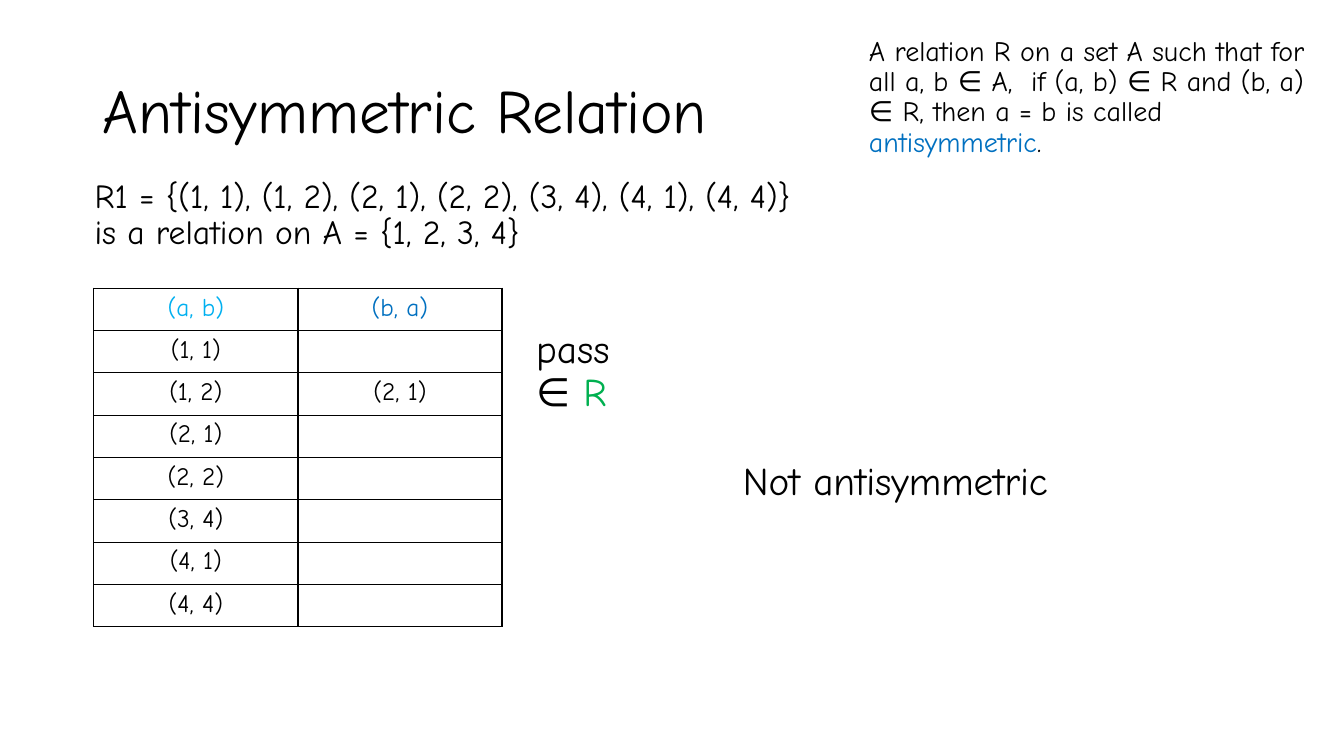
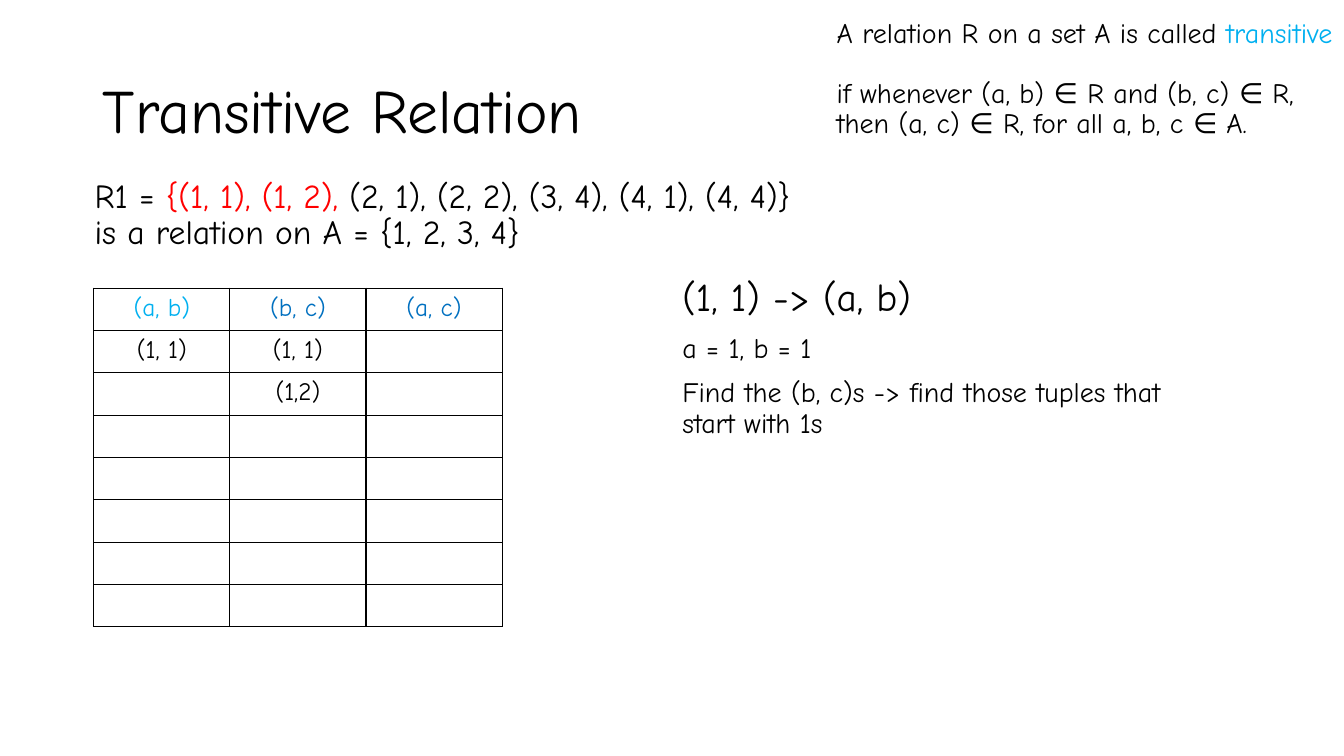
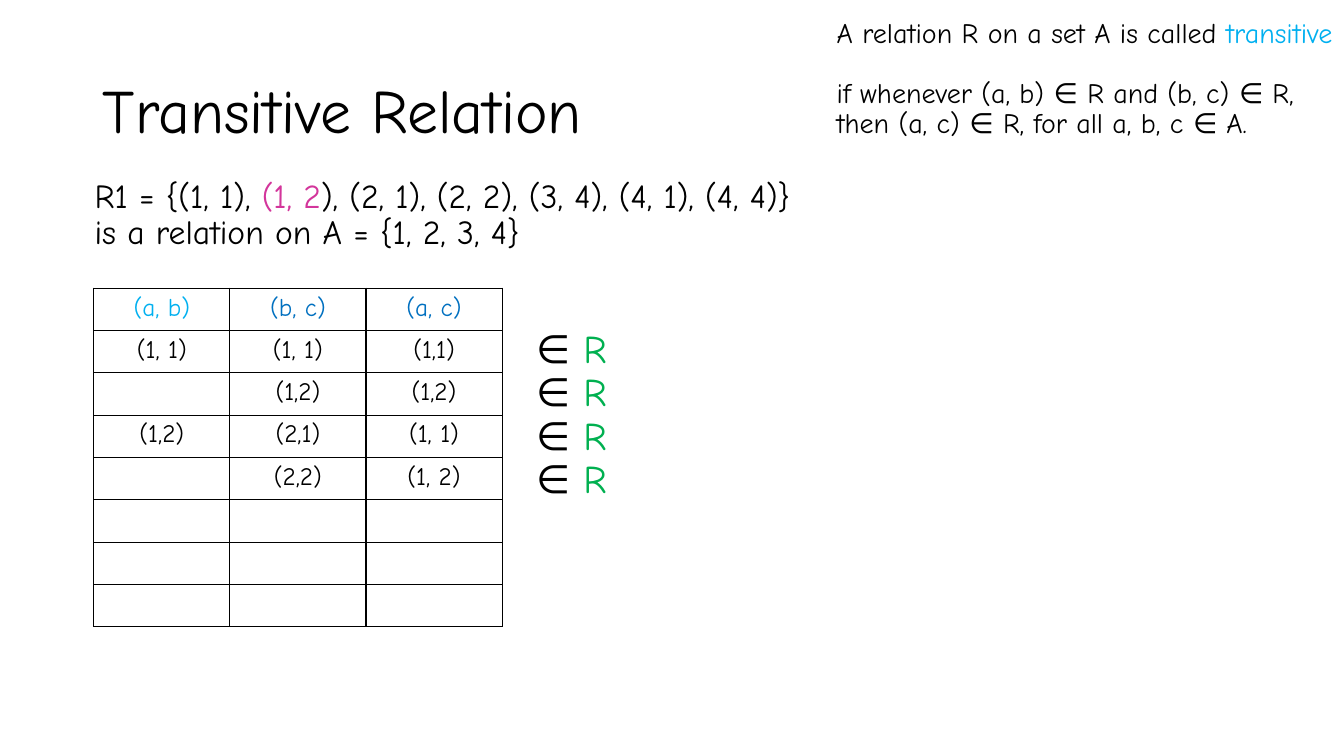
from lxml import etree
from pptx import Presentation
from pptx.dml.color import RGBColor
from pptx.enum.text import MSO_ANCHOR, MSO_AUTO_SIZE, PP_ALIGN
from pptx.oxml.ns import qn
from pptx.util import Inches, Pt

LEFT, CENTER = PP_ALIGN.LEFT, PP_ALIGN.CENTER
MIDDLE, NO_AUTOFIT = MSO_ANCHOR.MIDDLE, MSO_AUTO_SIZE.NONE

# Shared style
FONT = "Comic Neue"
BLACK, SKY, BLUE = "000000", "00B0F0", "0070C0"
GREEN, RED, PINK = "00B050", "FF0000", "D3359B"
TITLE_SIZE, MARK_SIZE, RELATION_SIZE, NOTE_SIZE, CELL_SIZE = 44, 28, 24, 20, 18

# Shared grid, in inches
TABLE_LEFT, TABLE_TOP, TABLE_WIDTH = 0.93, 2.86, 4.05
ROW_COUNT, ROW_HEIGHT = 8, 0.42
MARK_LEFT, MARK_TOP, MARK_STEP = 5.22, 3.22, 0.43
MARK_WIDTH, MARK_HEIGHT = 1.27, 0.42


def write(paragraph, parts, size, align=LEFT, spacing=0.9, before=0):
    """Fill a paragraph with (text, colour) parts; a newline is a line break."""
    paragraph.font.name = FONT
    paragraph.font.size = Pt(size)
    paragraph.alignment = align
    paragraph.line_spacing = spacing
    paragraph.space_before = Pt(before)
    for text, color in parts:
        for number, line in enumerate(text.split("\n")):
            if number:
                paragraph.add_line_break()
            if line:
                run = paragraph.add_run()
                run.text = line
                run.font.color.rgb = RGBColor.from_string(color)


def add_text(slide, box, paragraphs):
    """Add a text box holding (parts, size) paragraphs."""
    frame = slide.shapes.add_textbox(*map(Inches, box)).text_frame
    frame.word_wrap = True
    frame.auto_size = NO_AUTOFIT
    for number, (parts, size) in enumerate(paragraphs):
        paragraph = frame.add_paragraph() if number else frame.paragraphs[0]
        write(paragraph, parts, size, before=10)


# Content
MEMBER = [("∈ ", BLACK), ("R", GREEN)]
RELATION_END = "(2, 1), (2, 2), (3, 4), (4, 1), (4, 4)}\nis a relation on A = {1, 2, 3, 4}"
TRANSITIVE = {
    "title": "Transitive Relation",
    "definition_box": (8.2, 0.14, 5.14, 1.37),
    "definition": [
        ("A relation R on a set A is called ", BLACK),
        ("transitive \n", SKY),
        ("if whenever (a, b) ∈ R and (b, c) ∈ R, \n"
         "then (a, c) ∈ R, for all a, b, c ∈ A.", BLACK),
    ],
    "header": ["(a, b)", "(b, c)", "(a, c)"],
}
lessons = [
    {
        "title": "Antisymmetric Relation",
        "definition_box": (8.52, 0.32, 4.52, 1.21),
        "definition": [
            ("A relation R on a set A such that for all a, b ∈ A,  if (a, b) ∈ R "
             "and (b, a) ∈ R, then a = b is called ", BLACK),
            ("antisymmetric", BLUE),
            (".", BLACK),
        ],
        "relation": [("R1 = {(1, 1), (1, 2), " + RELATION_END, BLACK)],
        "header": ["(a, b)", "(b, a)"],
        "pairs": [["(1, 1)"], ["(1, 2)", "(2, 1)"], ["(2, 1)"], ["(2, 2)"],
                  ["(3, 4)"], ["(4, 1)"], ["(4, 4)"]],
        "marks": [[("pass", BLACK)], MEMBER],
        "remark_box": (7.27, 4.53, 5.66, 0.42),
        "remark": [([("Not antisymmetric", BLACK)], MARK_SIZE)],
    },
    {
        **TRANSITIVE,
        "relation": [("R1 = ", BLACK), ("{(1, 1), (1, 2), ", RED), (RELATION_END, BLACK)],
        "pairs": [["(1, 1)", "(1, 1)"], ["", "(1,2)"]],
        "marks": [],
        "remark_box": (6.67, 2.71, 5.14, 3.14),
        "remark": [
            ([("(1, 1) -> (a, b)", BLACK)], MARK_SIZE),
            ([("a = 1, b = 1", BLACK)], NOTE_SIZE),
            ([("Find the (b, c)s -> find those tuples that start with 1s", BLACK)], NOTE_SIZE),
        ],
    },
    {
        **TRANSITIVE,
        "relation": [("R1 = {(1, 1), ", BLACK), ("(1, 2", PINK), ("), " + RELATION_END, BLACK)],
        "pairs": [["(1, 1)", "(1, 1)", "(1,1)"], ["", "(1,2)", "(1,2)"],
                  ["(1,2)", "(2,1)", "(1, 1)"], ["", "(2,2)", "(1, 2)"]],
        "marks": [MEMBER] * 4,
        "remark": [],
    },
]

deck = Presentation()
deck.slide_width, deck.slide_height = Inches(13.33), Inches(7.5)
title_only = deck.slide_layouts[5]

for lesson in lessons:
    slide = deck.slides.add_slide(title_only)

    # Title
    title = slide.shapes.title
    title.left, title.top, title.width, title.height = map(Inches, (0.92, 0.4, 11.5, 1.45))
    title.text_frame.vertical_anchor = MIDDLE
    title.text_frame.word_wrap = True
    title.text_frame.auto_size = NO_AUTOFIT
    write(title.text_frame.paragraphs[0], [(lesson["title"], BLACK)], TITLE_SIZE)

    # Definition and example relation
    add_text(slide, lesson["definition_box"], [(lesson["definition"], NOTE_SIZE)])
    add_text(slide, (0.84, 1.73, 7.97, 1.2), [(lesson["relation"], RELATION_SIZE)])

    # Table of pairs
    header = lesson["header"]
    rows = [header] + lesson["pairs"]
    table = slide.shapes.add_table(
        ROW_COUNT, len(header), Inches(TABLE_LEFT), Inches(TABLE_TOP),
        Inches(TABLE_WIDTH), Inches(ROW_COUNT * ROW_HEIGHT)).table
    table.first_row = table.horz_banding = False
    for r in range(ROW_COUNT):
        for c in range(len(header)):
            cell = table.cell(r, c)
            cell.fill.background()
            text = rows[r][c] if r < len(rows) and c < len(rows[r]) else ""
            color = BLACK if r else BLUE if c else SKY
            write(cell.text_frame.paragraphs[0], [(text, color)], CELL_SIZE, CENTER, 1)
            # Cell borders
            properties = cell._tc.get_or_add_tcPr()
            for position, side in enumerate(("a:lnL", "a:lnR", "a:lnT", "a:lnB")):
                border = etree.Element(qn(side), w=str(Pt(1)))
                line_fill = etree.SubElement(border, qn("a:solidFill"))
                etree.SubElement(line_fill, qn("a:srgbClr"), val=BLACK)
                properties.insert(position, border)

    # Verdict beside each checked row
    for number, mark in enumerate(lesson["marks"]):
        add_text(slide, (MARK_LEFT, MARK_TOP + number * MARK_STEP, MARK_WIDTH, MARK_HEIGHT),
                 [(mark, MARK_SIZE)])

    # Remark on the right
    if lesson["remark"]:
        add_text(slide, lesson["remark_box"], lesson["remark"])

deck.save("out.pptx")
